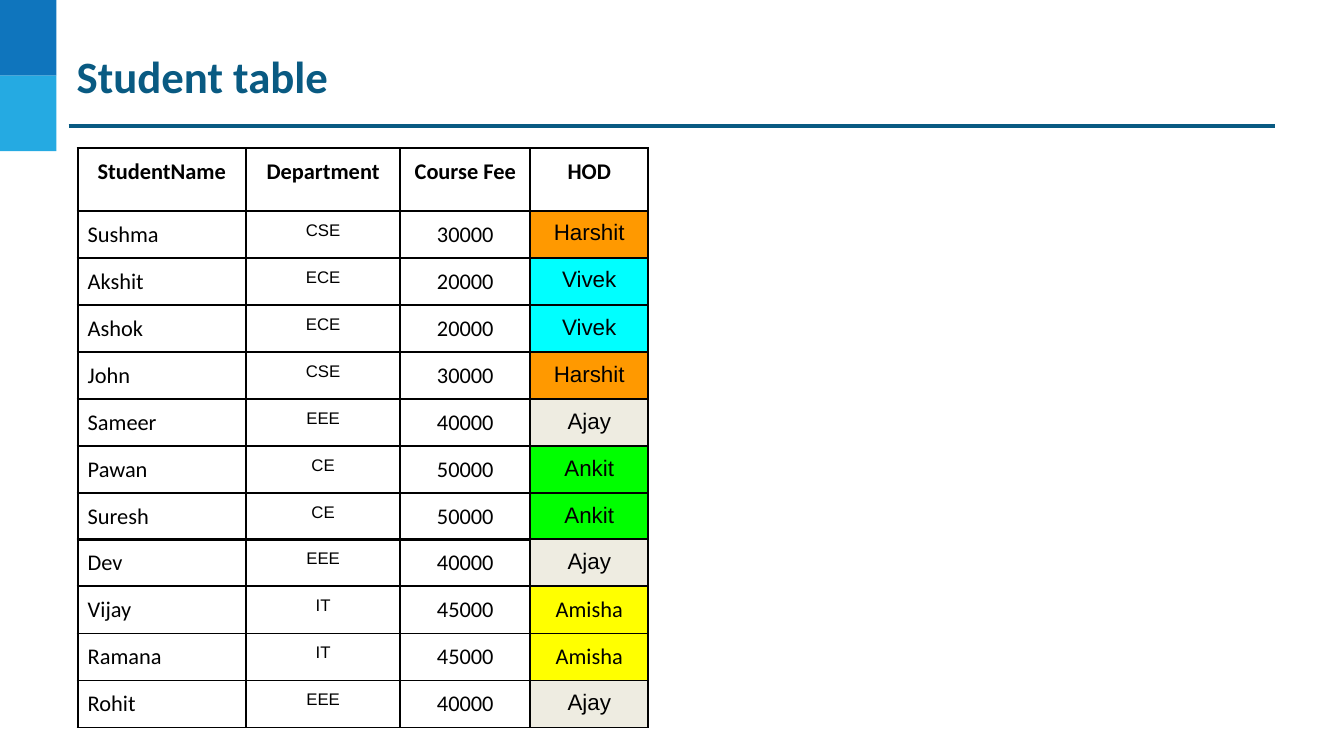
import pptx
import pptx.dml.color
import pptx.enum.shapes
import pptx.enum.text
import pptx.oxml
import pptx.oxml.ns
import pptx.util
from pptx.util import Inches

RGBColor = pptx.dml.color.RGBColor
BLUE = RGBColor(0x0F, 0x75, 0xBD)
SKY = RGBColor(0x25, 0xAA, 0xE2)
TEAL = RGBColor(0x09, 0x5A, 0x82)
BLACK = RGBColor(0, 0, 0)
ORANGE = RGBColor(0xFF, 0x99, 0x00)
CYAN = RGBColor(0x00, 0xFF, 0xFF)
BEIGE = RGBColor(0xEE, 0xEC, 0xE1)
GREEN = RGBColor(0x00, 0xFF, 0x00)
YELLOW = RGBColor(0xFF, 0xFF, 0x00)

HEADER = ("StudentName", "Department", "Course Fee", "HOD")
# Department: course fee, head of department, fill, font of the head's name
DEPARTMENTS = {
    "CSE": ("30000", "Harshit", ORANGE, "Arial"),
    "ECE": ("20000", "Vivek", CYAN, "Arial"),
    "EEE": ("40000", "Ajay", BEIGE, "Arial"),
    "CE": ("50000", "Ankit", GREEN, "Arial"),
    "IT": ("45000", "Amisha", YELLOW, "Calibri"),
}
UPPER_STUDENTS = (
    ("Sushma", "CSE"), ("Akshit", "ECE"), ("Ashok", "ECE"), ("John", "CSE"),
    ("Sameer", "EEE"), ("Pawan", "CE"), ("Suresh", "CE"),
)
LOWER_STUDENTS = (("Dev", "EEE"), ("Vijay", "IT"), ("Ramana", "IT"), ("Rohit", "EEE"))
COLUMN_WIDTHS = (1.67, 1.53, 1.29, 1.17)


def format_runs(paragraph, size, name, color, bold=False):
    for run in paragraph.runs:
        run.font.size = pptx.util.Pt(size)
        run.font.name = name
        run.font.color.rgb = color
        run.font.bold = bold


def add_corner_blocks(slide, left, top, width, height):
    for index, color in enumerate((BLUE, SKY)):
        block = slide.shapes.add_shape(
            pptx.enum.shapes.MSO_SHAPE.RECTANGLE, Inches(left),
            Inches(top + index * height / 2), Inches(width), Inches(height / 2))
        block.shadow.inherit = False
        block.fill.solid()
        block.fill.fore_color.rgb = color
        block.line.fill.background()


def add_heading(slide, left, top, width, height):
    # Rule below the title
    rule = slide.shapes.add_connector(
        pptx.enum.shapes.MSO_CONNECTOR.STRAIGHT, Inches(left), Inches(top + height),
        Inches(left + width), Inches(top + height))
    rule.line.color.rgb = TEAL
    rule.line.width = pptx.util.Pt(2.25)
    rule._element.spPr.append(pptx.oxml.parse_xml(
        f"<a:effectLst {pptx.oxml.ns.nsdecls('a')}/>"))

    # Title
    title = slide.shapes.add_textbox(
        Inches(left + 0.06), Inches(top), Inches(width), Inches(0.58))
    frame = title.text_frame
    frame.word_wrap = True
    frame.auto_size = pptx.enum.text.MSO_AUTO_SIZE.SHAPE_TO_FIT_TEXT
    frame.margin_left = frame.margin_right = Inches(0.02)
    frame.margin_top = frame.margin_bottom = Inches(0.02)
    frame.text = "Student table"
    format_runs(frame.paragraphs[0], 32, "Calibri", TEAL, bold=True)


def add_borders(cell):
    properties = cell._tc.get_or_add_tcPr()
    for side in ("lnL", "lnR", "lnT", "lnB"):
        properties.append(pptx.oxml.parse_xml(
            f"<a:{side} {pptx.oxml.ns.nsdecls('a')} w='{pptx.util.Pt(1.5)}'>"
            f"<a:solidFill><a:srgbClr val='{BLACK}'/></a:solidFill></a:{side}>"))


def fill_cell(cell, text, size=16, name="Calibri", bold=False, centred=True, fill=None):
    cell.margin_left = cell.margin_right = Inches(0.1)
    cell.margin_top = cell.margin_bottom = Inches(0.1)
    add_borders(cell)
    if fill is None:
        cell.fill.background()
    else:
        cell.fill.solid()
        cell.fill.fore_color.rgb = fill
    cell.text_frame.text = text
    paragraph = cell.text_frame.paragraphs[0]
    if centred:
        paragraph.alignment = pptx.enum.text.PP_ALIGN.CENTER
    format_runs(paragraph, size, name, BLACK, bold)


def add_student_table(slide, left, top, students, row_height, header_height=None):
    first = 1 if header_height else 0
    heights = [header_height] * first + [row_height] * len(students)
    table = slide.shapes.add_table(
        len(heights), len(COLUMN_WIDTHS), Inches(left), Inches(top),
        Inches(sum(COLUMN_WIDTHS)), Inches(sum(heights))).table
    table.first_row = bool(first)
    table.horz_banding = False
    for column, width in zip(table.columns, COLUMN_WIDTHS):
        column.width = Inches(width)
    for row, height in zip(table.rows, heights):
        row.height = Inches(height)

    # Header row
    if first:
        for cell, label in zip(table.rows[0].cells, HEADER):
            fill_cell(cell, label, bold=True)

    # One row per student
    for index, (student, department) in enumerate(students, first):
        fee, head, color, head_font = DEPARTMENTS[department]
        fill_cell(table.cell(index, 0), student, centred=False)
        fill_cell(table.cell(index, 1), department, size=12, name="Arial")
        fill_cell(table.cell(index, 2), fee)
        fill_cell(table.cell(index, 3), head, name=head_font, fill=color)


def main():
    presentation = pptx.Presentation()
    presentation.slide_width = Inches(13.33)
    presentation.slide_height = Inches(7.5)
    slide = presentation.slides.add_slide(presentation.slide_layouts[6])
    add_corner_blocks(slide, 0, 0, 0.56, 1.5)
    add_heading(slide, 0.68, 0.46, 11.97, 0.79)
    add_student_table(slide, 0.77, 1.47, UPPER_STUDENTS, 0.39, header_height=0.62)
    add_student_table(slide, 0.77, 5.35, LOWER_STUDENTS, 0.33)
    presentation.save("out.pptx")


if __name__ == "__main__":
    main()
